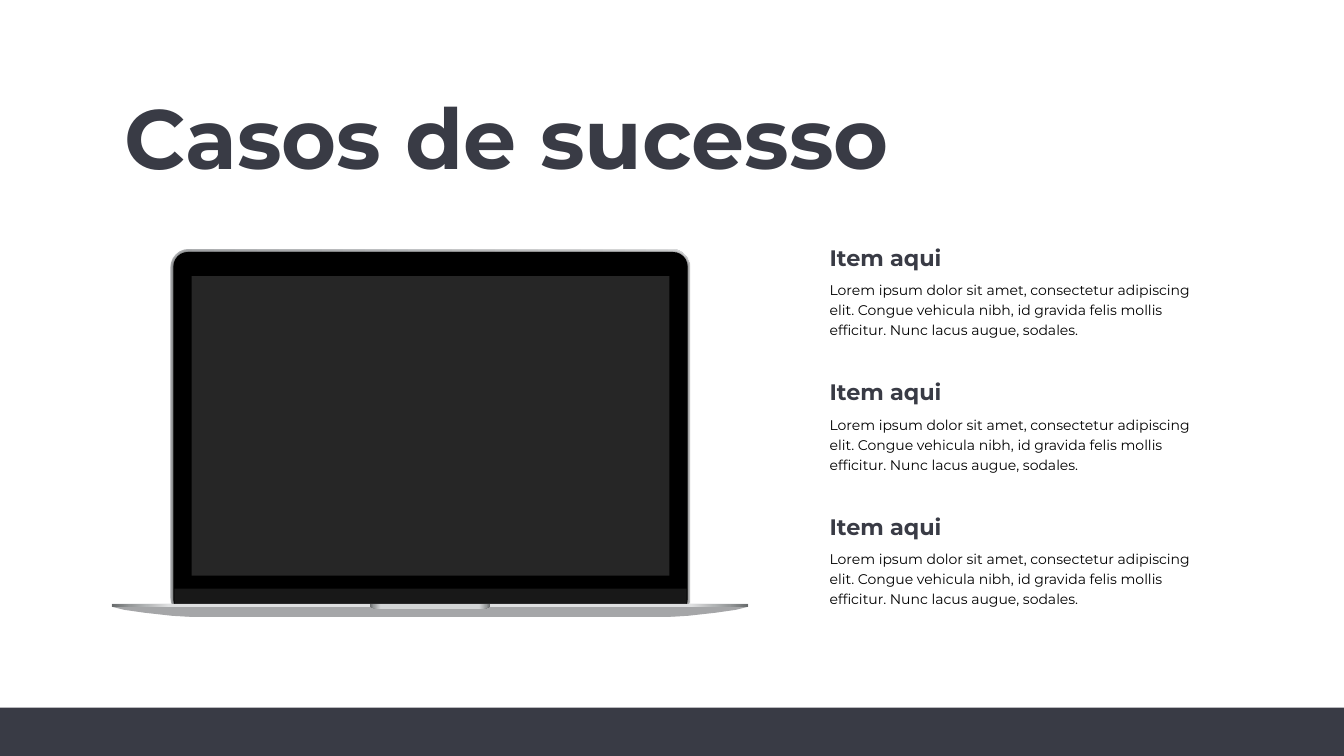
from dataclasses import dataclass

from pptx import Presentation
from pptx import util as u
from pptx.dml.color import RGBColor
from pptx.enum import shapes, text
from pptx.oxml import parse_xml
from pptx.oxml.ns import nsdecls, qn


@dataclass(frozen=True)
class Theme:
    font: str = "Montserrat"
    slate: str = "393B45"
    body: str = "000000"
    bezel: str = "000000"
    chin: str = "181818"
    screen: str = "262626"
    base: str = "A5A6A8"
    lid: tuple = ((0, "B0B2B4"), (100, "DFE0E1"))
    title_size: int = 60
    heading_size: int = 16
    body_size: int = 10


THEME = Theme()
LAPTOP_LEFT, LAPTOP_RIGHT = 1.11, 7.42
ITEMS = [
    ("Item aqui", "Lorem ipsum dolor sit amet, consectetur adipiscing elit. "
     "Congue vehicula nibh, id gravida felis mollis efficitur. "
     "Nunc lacus augue, sodales."),
] * 3


def place(left, top, width, height):
    return [u.Inches(v) for v in (left, top, width, height)]


def metal(middle):
    """Gradient stops of a metal edge, dark at both ends."""
    return ((0, "686B6C"), (3, "96999A"), (9, middle),
            (91, middle), (97, "96999A"), (100, "686B6C"))


def paint(shape, fill):
    """Fill with one colour, or with a left-to-right list of stops."""
    shape.shadow.inherit = False
    shape.line.fill.background()
    if isinstance(fill, str):
        shape.fill.solid()
        shape.fill.fore_color.rgb = RGBColor.from_string(fill)
        return shape
    shape.fill.gradient()
    shape.fill.gradient_angle = 0
    stops = next(shape._element.iter(qn("a:gsLst")))
    for stop in list(stops):
        stops.remove(stop)
    for position, color in fill:
        stops.append(parse_xml(
            f'<a:gs {nsdecls("a")} pos="{position * 1000}">'
            f'<a:srgbClr val="{color}"/></a:gs>'))
    return shape


def add_panel(parent, kind, box, fill, *adjustments):
    panel = parent.add_shape(kind, *place(*box))
    for index, value in enumerate(adjustments):
        panel.adjustments[index] = value
    return paint(panel, fill)


def add_symmetric(parent, left_side, fill):
    """Draw an outline from its left side, mirrored about the laptop's axis."""
    right_side = [(LAPTOP_LEFT + LAPTOP_RIGHT - x, y)
                  for x, y in reversed(left_side)]
    points = [(u.Inches(x), u.Inches(y)) for x, y in left_side + right_side]
    outline = parent.build_freeform(*points[0])
    outline.add_line_segments(points[1:], close=True)
    return paint(outline.convert_to_shape(), fill)


def add_glow(shape, color, opacity, blur):
    shape._element.spPr.find(qn("a:effectLst")).append(parse_xml(
        f'<a:outerShdw {nsdecls("a")} blurRad="{u.Pt(blur)}" dist="0" dir="0">'
        f'<a:srgbClr val="{color}"><a:alpha val="{opacity * 1000}"/></a:srgbClr>'
        '</a:outerShdw>'))


def write(holder, words, *, size, color, bold=False, spacing=None):
    frame = holder.text_frame
    frame.word_wrap = True
    frame.auto_size = text.MSO_AUTO_SIZE.NONE
    frame.vertical_anchor = text.MSO_ANCHOR.TOP
    paragraph = frame.paragraphs[0]
    paragraph.alignment = text.PP_ALIGN.LEFT
    paragraph.line_spacing = spacing
    run = paragraph.add_run()
    run.text = words
    run.font.name = THEME.font
    run.font.size = u.Pt(size)
    run.font.bold = bold
    run.font.color.rgb = RGBColor.from_string(color)


def add_title(slide, words):
    title = slide.shapes.title
    title.left, title.top, title.width, title.height = place(1.13, 0.83, 10.69, 1.08)
    write(title, words, size=THEME.title_size, color=THEME.slate,
          bold=True, spacing=u.Pt(70))


def add_laptop(slide):
    parts = slide.shapes.add_group_shape().shapes
    preset = shapes.MSO_SHAPE

    # Lid and screen
    add_panel(parts, preset.ROUNDED_RECTANGLE, (1.69, 2.47, 5.15, 3.64),
              THEME.lid, 0.05)
    bezel = add_panel(parts, preset.ROUNDED_RECTANGLE, (1.72, 2.5, 5.1, 3.59),
                      THEME.bezel, 0.04)
    add_glow(bezel, THEME.bezel, opacity=61, blur=2)
    add_panel(parts, preset.ROUND_2_SAME_RECTANGLE, (1.73, 5.84, 5.08, 0.24),
              THEME.chin, 0, 0.5)
    add_panel(parts, preset.RECTANGLE, (1.9, 2.74, 4.74, 2.97), THEME.screen)

    # Base, its top edge and the opening notch
    add_symmetric(parts, [(LAPTOP_LEFT, 5.99), (LAPTOP_LEFT, 6.02), (1.23, 6.05),
                          (1.44, 6.08), (1.71, 6.11), (1.9, 6.12)], THEME.base)
    add_panel(parts, preset.RECTANGLE,
              (LAPTOP_LEFT, 5.99, LAPTOP_RIGHT - LAPTOP_LEFT, 0.03), metal("DFE0E1"))
    add_symmetric(parts, [(3.67, 5.99), (3.67, 6.02), (3.7, 6.03), (3.74, 6.04)],
                  metal("D3D5D6"))


def add_item(slide, top, heading, description):
    body_box = slide.shapes.add_textbox(*place(8.13, top + 0.34, 3.99, 0.81))
    write(body_box, description, size=THEME.body_size, color=THEME.body, spacing=1.2)
    heading_box = slide.shapes.add_textbox(*place(8.13, top, 3.99, 0.37))
    write(heading_box, heading, size=THEME.heading_size, color=THEME.slate, bold=True)


def main():
    deck = Presentation()
    deck.slide_width, deck.slide_height = u.Inches(13.33), u.Inches(7.5)
    slide = deck.slides.add_slide(deck.slide_layouts[5])

    add_title(slide, "Casos de sucesso")
    add_laptop(slide)

    # Footer band
    add_panel(slide.shapes, shapes.MSO_SHAPE.RECTANGLE,
              (0, 7.02, 13.33, 0.48), THEME.slate)

    # Items at equal steps
    for row, (heading, description) in enumerate(ITEMS):
        add_item(slide, 2.37 + row * 1.335, heading, description)

    deck.save("out.pptx")


if __name__ == "__main__":
    main()
